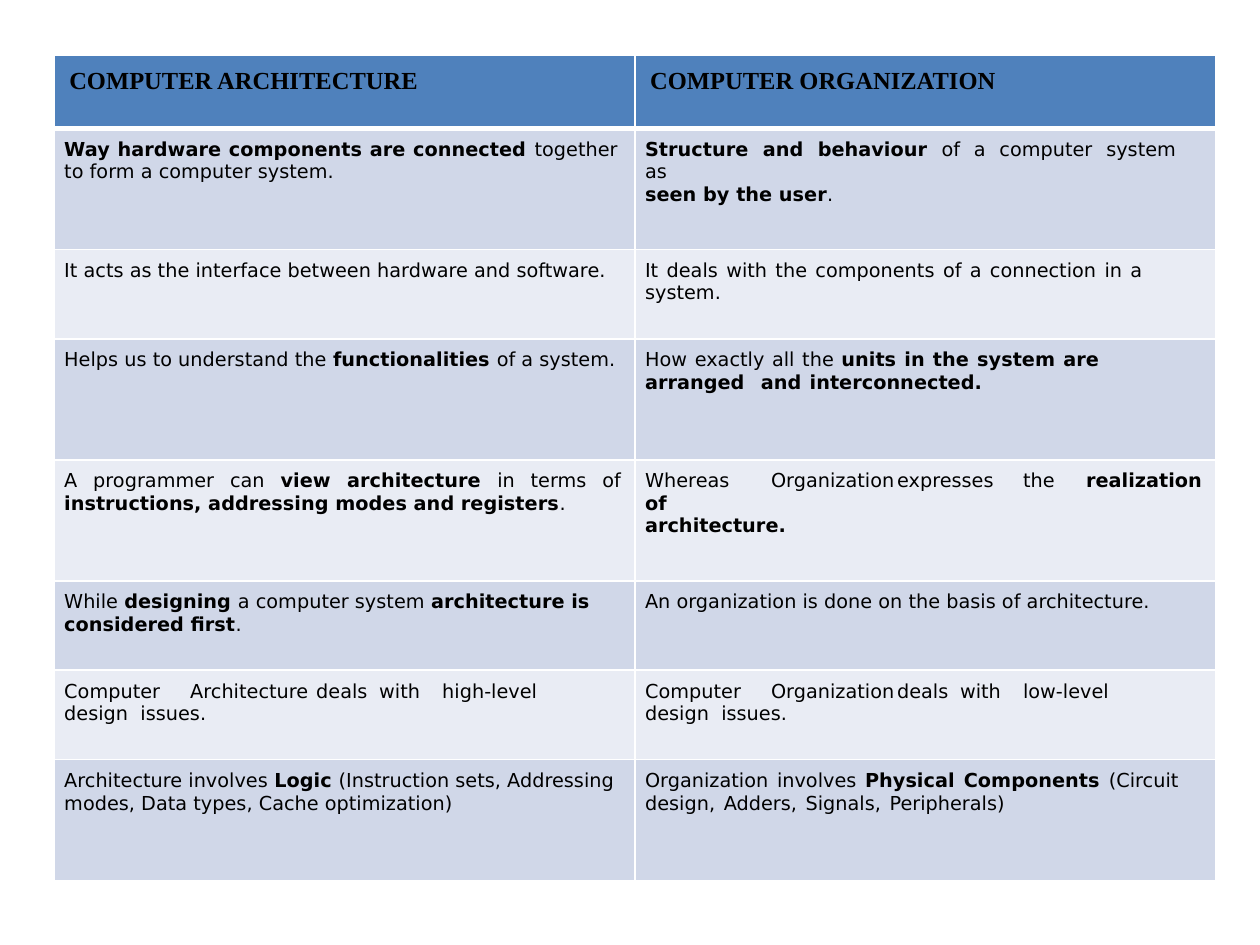
from itertools import groupby

from lxml import etree
from pptx import Presentation
from pptx import util as u
from pptx.dml.color import RGBColor
from pptx.enum import text
from pptx.oxml.ns import qn

COLORS = {"header": "4F81BC", "odd": "D0D7E8", "even": "E9ECF4",
          "border": "FFFFFF", "ink": "000000"}
TALL, SHORT, HEADER = 0.96, 0.71, 0.58
COLUMN_WIDTH = 4.61

# Each row: height, left cell, right cell.
# A cell is its paragraphs (** marks bold) and format options.
ROWS = [
    (TALL,
     (["**Way hardware components are connected **together  to form a computer system."],
      {"align": text.PP_ALIGN.JUSTIFY}),
     (["**Structure and behaviour **of a computer system as",
       "**seen by the user**."], {"gap": 4.3})),
    (SHORT,
     (["It acts as the interface between hardware and software."], {}),
     (["It deals with the components of a connection in a  system."], {"gap": 1.2})),
    (TALL,
     (["Helps us to understand the **functionalities **of a system."], {}),
     (["How exactly all the **units in the system are arranged  and interconnected.**"],
      {"gap": 0.8})),
    (TALL,
     (["A programmer can **view architecture **in terms of",
       "**instructions, addressing modes and registers**."], {"gap": 5.5}),
     (["Whereas\tOrganization\texpresses\tthe\t**realization\tof**", "**architecture.**"],
      {"tabs": (0.89, 2.01, 2.91, 3.3, 4.35)})),
    (SHORT,
     (["While **designing **a computer system **architecture is  considered first**."], {}),
     (["An organization is done on the basis of architecture."], {})),
    (SHORT,
     (["Computer\tArchitecture\tdeals\twith\thigh-level\tdesign  issues."],
      {"tabs": (0.99, 2.08, 2.63, 3.11, 4.02)}),
     (["Computer\tOrganization\tdeals\twith\tlow-level\tdesign  issues."],
      {"tabs": (1, 2.14, 2.7, 3.18, 4.02)})),
    (TALL,
     (["Architecture involves **Logic **(Instruction sets, Addressing  modes, "
       "Data types, Cache optimization)"], {}),
     (["Organization involves **Physical Components **(Circuit  design, Adders, "
       "Signals, Peripherals)"], {"gap": 1.3})),
]


def write_paragraph(paragraph, content, *, size=11, font="DejaVu Sans", indent=0.08,
                    align=None, tabs=(), gap=0):
    """Write marked-up text; gap widens the spaces by that many points."""
    properties = paragraph._p.get_or_add_pPr()
    properties.set("marL", str(u.Inches(indent)))
    properties.set("indent", "0")
    if tabs:
        tab_list = etree.SubElement(properties, qn("a:tabLst"))
        for position in tabs:
            etree.SubElement(tab_list, qn("a:tab"), pos=str(u.Inches(position)), algn="l")
    if align is not None:
        paragraph.alignment = align
    for number, part in enumerate(content.split("**")):
        if gap:
            pieces = ["".join(group) for _, group in groupby(part, key=str.isspace)]
        else:
            pieces = [part] if part else []
        for piece in pieces:
            run = paragraph.add_run()
            run.text = piece
            run.font.size = u.Pt(size)
            run.font.name = font
            run.font.bold = number % 2 == 1
            run.font.color.rgb = RGBColor.from_string(COLORS["ink"])
            if gap and piece.isspace():
                run._r.get_or_add_rPr().set("spc", str(round(gap * 100)))


class SlideBuilder:
    def __init__(self, slide):
        self.slide = slide

    def table(self, left, top, heights, widths):
        frame = self.slide.shapes.add_table(
            len(heights), len(widths), u.Inches(left), u.Inches(top),
            u.Inches(sum(widths)), u.Inches(sum(heights)))
        for row, height in zip(frame.table.rows, heights):
            row.height = u.Inches(height)
        for column, width in zip(frame.table.columns, widths):
            column.width = u.Inches(width)
        return frame.table

    def borders(self, cell, **widths):
        properties = cell._tc.get_or_add_tcPr()
        for index, side in enumerate("LRTB"):
            line = etree.Element(qn(f"a:ln{side}"), w=str(u.Pt(widths.get(side, 1))))
            fill = etree.SubElement(line, qn("a:solidFill"))
            etree.SubElement(fill, qn("a:srgbClr"), val=COLORS["border"])
            properties.insert(index, line)

    def cell(self, cell, paragraphs, color, inset=0.08, edges=None, **style):
        cell.fill.solid()
        cell.fill.fore_color.rgb = RGBColor.from_string(COLORS[color])
        cell.margin_left = cell.margin_bottom = 0
        cell.margin_top = u.Inches(inset)
        cell.margin_right = u.Inches(0.08)
        cell.vertical_anchor = text.MSO_ANCHOR.TOP
        self.borders(cell, **(edges or {}))
        frame = cell.text_frame
        for index, content in enumerate(paragraphs):
            paragraph = frame.add_paragraph() if index else frame.paragraphs[0]
            # Only the opening line of a cell has widened spaces
            options = {**style, "gap": 0} if index else style
            write_paragraph(paragraph, content, **options)


def main():
    presentation = Presentation()
    presentation.slide_width = u.Inches(10)
    presentation.slide_height = u.Inches(7.5)
    builder = SlideBuilder(presentation.slides.add_slide(presentation.slide_layouts[6]))

    # Comparison table
    heights = [HEADER] + [height for height, *_ in ROWS]
    table = builder.table(0.43, 0.44, heights, [COLUMN_WIDTH] * 2)

    # Header row
    headings = ["COMPUTER ARCHITECTURE", "COMPUTER ORGANIZATION"]
    for column, heading in enumerate(headings):
        builder.cell(table.cell(0, column), [f"**{heading}**"], "header", inset=0.1,
                     edges={"B": 3}, size=14, font="Times New Roman", indent=0.12)

    # Banded body rows
    for row, (_, *cells) in enumerate(ROWS, start=1):
        color = "odd" if row % 2 else "even"
        edges = {"T": 3} if row == 1 else {}
        for column, (paragraphs, style) in enumerate(cells):
            builder.cell(table.cell(row, column), paragraphs, color, edges=edges, **style)

    presentation.save("out.pptx")


if __name__ == "__main__":
    main()
